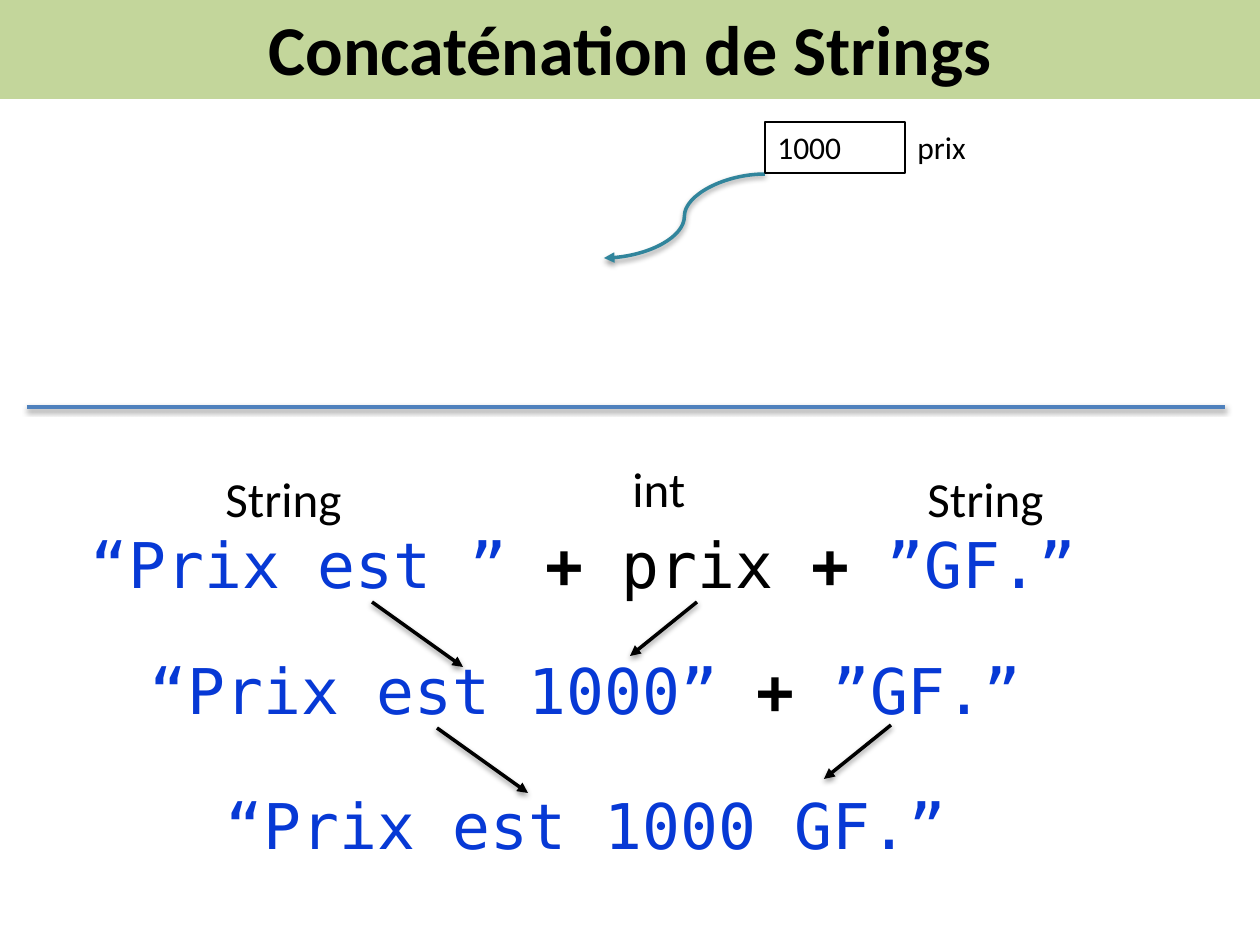
from lxml import etree
from pptx import Presentation
from pptx import util as u
from pptx.dml.color import RGBColor
from pptx.enum import shapes, text
from pptx.oxml import ns, parse_xml

PX = u.Inches(1) / 126
COLORS = {
    "banner": "C3D69B",
    "ink": "000000",
    "literal": "0739D5",
    "curve": "31859C",
    "divider": "4F81BD",
}
SHADOW = (
    f'<a:effectLst {ns.nsdecls("a")}>'
    '<a:outerShdw blurRad="40000" dist="20000" dir="5400000" rotWithShape="0">'
    '<a:srgbClr val="000000"><a:alpha val="38000"/></a:srgbClr>'
    '</a:outerShdw></a:effectLst>'
)


def px(*lengths):
    return [u.Emu(round(length * PX)) for length in lengths]


class Board:
    label_font = "Calibri"
    code_font = "DejaVu Sans Mono"

    def __init__(self, slide):
        self.slide = slide

    def color(self, name):
        return RGBColor.from_string(COLORS[name])

    def style(self, run, font, size, color="ink", bold=False):
        run.font.name = font
        run.font.size = u.Pt(size)
        run.font.bold = bold
        run.font.color.rgb = self.color(color)

    def title(self, wording, *place):
        banner = self.slide.shapes.title
        banner.left, banner.top, banner.width, banner.height = px(*place)
        banner.fill.solid()
        banner.fill.fore_color.rgb = self.color("banner")
        frame = banner.text_frame
        frame.text = wording
        frame.auto_size = text.MSO_AUTO_SIZE.NONE
        frame.vertical_anchor = text.MSO_ANCHOR.MIDDLE
        frame.paragraphs[0].alignment = text.PP_ALIGN.CENTER
        self.style(frame.paragraphs[0].runs[0], self.label_font, 40, bold=True)

    def label(self, wording, size, *place):
        frame = self.slide.shapes.add_textbox(*px(*place)).text_frame
        frame.word_wrap = True
        frame.text = wording
        self.style(frame.paragraphs[0].runs[0], self.label_font, size)

    def variable(self, value, *place):
        cell = self.slide.shapes.add_shape(shapes.MSO_SHAPE.RECTANGLE, *px(*place))
        cell.shadow.inherit = False
        cell.fill.background()
        cell.line.color.rgb = self.color("ink")
        cell.line.width = u.Pt(0.75)
        frame = cell.text_frame
        frame.word_wrap = True
        frame.vertical_anchor = text.MSO_ANCHOR.TOP
        frame.text = value
        frame.paragraphs[0].alignment = text.PP_ALIGN.LEFT
        self.style(frame.paragraphs[0].runs[0], self.label_font, 18)

    def expression(self, terms, left, top):
        frame = self.slide.shapes.add_textbox(*px(left, top, 1050, 165)).text_frame
        frame.word_wrap = True
        paragraph = frame.paragraphs[0]
        for index, term in enumerate(terms):
            if index:
                plus = paragraph.add_run()
                plus.text = " + "
                self.style(plus, self.code_font, 36, bold=True)
            operand = paragraph.add_run()
            operand.text = term
            color = "ink" if term == "prix" else "literal"
            self.style(operand, self.code_font, 36, color)

    def line(self, *ends, color="ink", kind=shapes.MSO_CONNECTOR.STRAIGHT, arrow=True):
        link = self.slide.shapes.add_connector(kind, *px(*ends))
        link.line.color.rgb = self.color(color)
        link.line.width = u.Pt(2)
        if arrow:
            stroke = link.line._get_or_add_ln()
            etree.SubElement(stroke, ns.qn("a:tailEnd"), type="triangle")
        link._element.spPr.append(parse_xml(SHADOW))


def main():
    deck = Presentation()
    deck.slide_width, deck.slide_height = px(1260, 945)
    board = Board(deck.slides.add_slide(deck.slide_layouts[5]))

    board.title("Concaténation de Strings", 0, -4, 1260, 103)
    board.line(765, 174, 604, 258, color="curve", kind=shapes.MSO_CONNECTOR.CURVE)
    board.variable("1000", 765, 122, 140, 51)
    board.label("prix", 18, 905, 122, 140, 51)
    board.line(27, 407, 1225, 407, color="divider", arrow=False)

    for kind, left, top in (("String", 213, 462), ("int", 620, 452), ("String", 915, 462)):
        board.label(kind, 28, left, top, 184, 72)

    for terms, left, top in (
        (("“Prix est ”", "prix", "”GF.”"), 78, 519),
        (("“Prix est 1000”", "”GF.”"), 137, 645),
        (("“Prix est 1000 GF.”",), 213, 780),
    ):
        board.expression(terms, left, top)

    for x, y, dx, dy in (
        (372, 602, 91, 65),
        (697, 602, -67, 54),
        (437, 728, 91, 65),
        (891, 725, -67, 54),
    ):
        board.line(x, y, x + dx, y + dy)

    deck.save("out.pptx")


if __name__ == "__main__":
    main()
